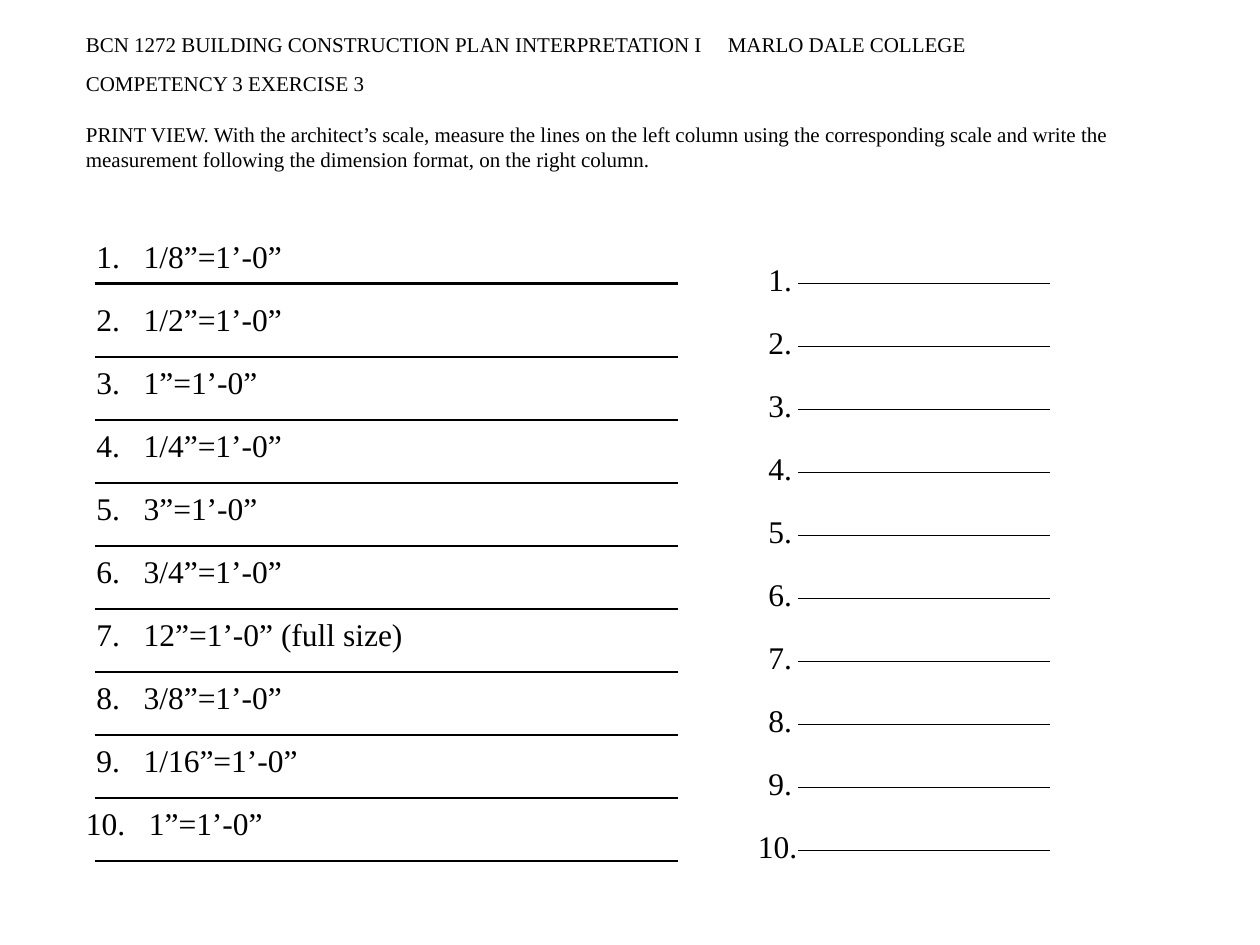
from lxml import etree
from pptx import Presentation
from pptx.dml.color import RGBColor
from pptx.enum.shapes import MSO_CONNECTOR
from pptx.enum.text import MSO_AUTO_SIZE
from pptx.oxml.ns import qn
from pptx.util import Pt

STRAIGHT = MSO_CONNECTOR.STRAIGHT
GROW = MSO_AUTO_SIZE.SHAPE_TO_FIT_TEXT


def color(code):
    return RGBColor.from_string(code)


class Sheet:
    font = "Times New Roman"
    ink = "000000"

    def __init__(self, slide):
        self.slide = slide

    def text(self, left, top, width, height, words, size, tab=None):
        box = self.slide.shapes.add_textbox(Pt(left), Pt(top), Pt(width), Pt(height))
        frame = box.text_frame
        frame.word_wrap = True
        frame.auto_size = GROW
        frame.text = words
        para = frame.paragraphs[0]
        for run in para.runs:
            run.font.name = self.font
            run.font.size = Pt(size)
            run.font.color.rgb = color(self.ink)
        if tab:
            stops = etree.SubElement(para._p.get_or_add_pPr(), qn("a:tabLst"))
            etree.SubElement(stops, qn("a:tab"), pos=str(Pt(tab)), algn="l")

    def rule(self, left, right, top, weight):
        line = self.slide.shapes.add_connector(
            STRAIGHT, Pt(left), Pt(top), Pt(right), Pt(top))
        line.line.color.rgb = color(self.ink)
        line.line.width = Pt(weight)
        etree.SubElement(line._element.spPr, qn("a:effectLst"))


deck = Presentation()
deck.slide_width = Pt(720)
deck.slide_height = Pt(540)
sheet = Sheet(deck.slides.add_slide(deck.slide_layouts[6]))

sheet.text(42, 14.4, 606, 21.8,
           "BCN 1272 BUILDING CONSTRUCTION PLAN INTERPRETATION I\tMARLO DALE COLLEGE",
           12, 366.8)
sheet.text(42, 36.7, 546, 21.8, "COMPETENCY 3 EXERCISE 3", 12)
sheet.text(42, 66, 606, 36,
           "PRINT VIEW. With the architect’s scale, measure the lines on the left "
           "column using the corresponding scale and write the measurement following "
           "the dimension format, on the right column.", 12)

SCALES = ["1/8”=1’-0”", "1/2”=1’-0”", "1”=1’-0”", "1/4”=1’-0”", "3”=1’-0”",
          "3/4”=1’-0”", "12”=1’-0” (full size)", "3/8”=1’-0”", "1/16”=1’-0”",
          "1”=1’-0”"]
STEP = 36

for row, scale in enumerate(SCALES):
    drop = row * STEP
    wide = row >= 9
    shift = 6 if wide else 0
    sheet.text(48 - shift, 132 + drop, 210, 29, f"{row + 1}.\t{scale}", 18,
               36 if wide else 27)
    sheet.rule(54, 387.5, (168 if row else 162) + drop, 1.5)
    sheet.text(432 - shift, 144.9 + drop, 48 if wide else 30, 29, f"{row + 1}.", 18)
    sheet.rule(456, 600, 162 + drop, 0.75)

deck.save("out.pptx")
